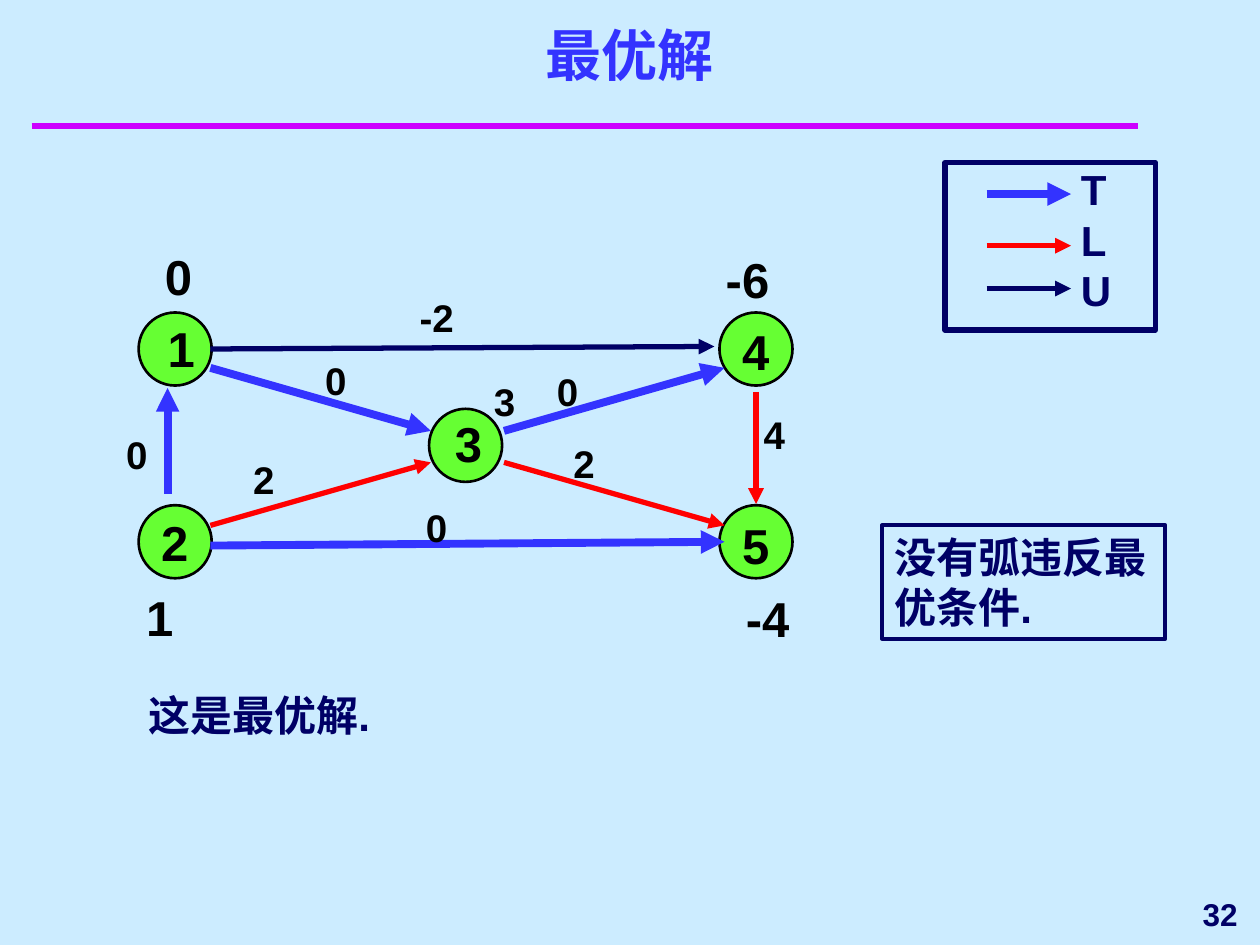
from dataclasses import dataclass

import pptx
import pptx.dml.color
import pptx.enum.shapes
import pptx.enum.text
import pptx.oxml.ns
import pptx.util
from lxml import etree
from pptx.util import Inches

ALIGN = pptx.enum.text.PP_ALIGN
ANCHOR = pptx.enum.text.MSO_ANCHOR
SHAPE = pptx.enum.shapes.MSO_SHAPE


@dataclass(frozen=True)
class Theme:
    """Colours, font and type sizes of the slide."""
    font: str = "Arial"
    background: str = "CCECFF"
    rule: str = "CC00FF"
    title: str = "3333FF"
    ink: str = "000066"
    label: str = "000000"
    node: str = "66FF33"
    title_size: float = 32
    node_size: float = 28
    body_size: float = 24
    cost_size: float = 22
    number_size: float = 18


THEME = Theme()
ARC_STYLES = {"T": ("3333FF", 4.5), "L": ("FF0000", 3), "U": ("000066", 3)}

NODES = [
    ("1", 0, 0, 0.33, 0.57),
    ("2", 0, 1, 0.28, 2.11),
    ("3", 0.5, 0.5, 2.61, 1.32),
    ("4", 1, 0, 4.89, 0.59),
    ("5", 1, 1, 4.89, 2.13),
]
POTENTIALS = [
    ("0", 0.31, 0, THEME.node_size),
    ("1", 0.16, 2.7, THEME.node_size),
    ("3", 2.92, 1.04, THEME.cost_size),
    ("-6", 4.76, 0.02, THEME.node_size),
    ("-4", 4.92, 2.71, THEME.node_size),
]
ARCS = [
    ("U", (0.67, 0.81), (4.67, 0.79), "-2", (2.33, 0.37)),
    ("T", (0.33, 1.96), (0.33, 1.12), "0", (0, 1.46)),
    ("T", (0.67, 2.37), (4.75, 2.34), "0", (2.38, 2.04)),
    ("L", (5, 1.15), (5, 2.04), "4", (5.06, 1.3)),
    ("L", (3, 1.71), (4.75, 2.21), "2", (3.55, 1.53)),
    ("T", (0.67, 0.96), (2.42, 1.46), "0", (1.58, 0.87)),
    ("L", (0.67, 2.21), (2.42, 1.71), "2", (1.01, 1.66)),
    ("T", (3, 1.46), (4.75, 0.96), "0", (3.42, 0.96)),
]


def rgb(value):
    """Turn a hex string into a colour."""
    return pptx.dml.color.RGBColor.from_string(value)


def write(frame, lines, size, color, align=ALIGN.LEFT, anchor=ANCHOR.TOP, wrap=True):
    """Fill a text frame with bold lines, one paragraph each."""
    frame.word_wrap = wrap
    frame.auto_size = pptx.enum.text.MSO_AUTO_SIZE.NONE
    frame.vertical_anchor = anchor
    for index, line in enumerate(lines):
        paragraph = frame.add_paragraph() if index else frame.paragraphs[0]
        paragraph.alignment = align
        run = paragraph.add_run()
        run.text = line
        run.font.name = THEME.font
        run.font.size = pptx.util.Pt(size)
        run.font.bold = True
        run.font.color.rgb = rgb(color)


def add_text(slide, box, lines, size, color, **layout):
    """Add a text box and return its frame."""
    frame = slide.shapes.add_textbox(*map(Inches, box)).text_frame
    write(frame, lines, size, color, **layout)
    return frame


def add_label(slide, left, top, text, size):
    """Add a graph label without margins."""
    box = (left, top, size / 128 * len(text), size / 60)
    frame = add_text(slide, box, [text], size, THEME.label, wrap=False)
    frame.margin_left = frame.margin_right = 0
    frame.margin_top = frame.margin_bottom = 0


def add_line(slide, start, end, color, width, arrow=True):
    """Add a straight line, with an arrowhead at its end if wanted."""
    line = slide.shapes.add_connector(
        pptx.enum.shapes.MSO_CONNECTOR.STRAIGHT, *map(Inches, (*start, *end)))
    line.line.color.rgb = rgb(color)
    line.line.width = pptx.util.Pt(width)
    if arrow:
        outline = line.line._get_or_add_ln()
        etree.SubElement(outline, pptx.oxml.ns.qn("a:tailEnd"), type="triangle")
    etree.SubElement(line._element.spPr, pptx.oxml.ns.qn("a:effectLst"))


def add_outline(slide, kind, box, color, width, fill=None):
    """Add an outlined shape, hollow unless a fill is given."""
    shape = slide.shapes.add_shape(kind, *map(Inches, box))
    shape.shadow.inherit = False
    shape.line.color.rgb = rgb(color)
    shape.line.width = pptx.util.Pt(width)
    if fill:
        shape.fill.solid()
        shape.fill.fore_color.rgb = rgb(fill)
    else:
        shape.fill.background()
    return shape


def add_heading(slide, box, text):
    """Place the title and the rule below it."""
    left, top, width, height = box
    title = slide.shapes.title
    title.left, title.top, title.width, title.height = map(Inches, box)
    write(title.text_frame, [text], THEME.title_size, THEME.title,
          align=ALIGN.CENTER, anchor=ANCHOR.BOTTOM)
    rule_top = top + height + 0.25
    add_line(slide, (left + 0.25, rule_top), (left + width - 0.97, rule_top),
             THEME.rule, 4, arrow=False)


def add_network(slide, box):
    """Draw the nodes, arcs, costs and potentials of the network."""
    left, top, width, height = box
    diameter = 0.58
    column_span, row_span = width - 0.68, height - 1.64
    for _, column, row, _, _ in NODES:
        circle = (left + 0.1 + column * column_span,
                  top + 0.52 + row * row_span, diameter, diameter)
        add_outline(slide, SHAPE.OVAL, circle, THEME.label, 1.5, THEME.node)
    for style, (x1, y1), (x2, y2), cost, (x, y) in ARCS:
        add_line(slide, (left + x1, top + y1), (left + x2, top + y2), *ARC_STYLES[style])
        add_label(slide, left + x, top + y, cost, THEME.cost_size)
    for number, _, _, x, y in NODES:
        add_label(slide, left + x, top + y, number, THEME.node_size)
    for potential, x, y, size in POTENTIALS:
        add_label(slide, left + x, top + y, potential, size)


def add_legend(slide, box):
    """Draw the key to the three arc sets."""
    left, top, width, height = box
    for style, y in zip(ARC_STYLES, (0.25, 0.66, 1)):
        add_line(slide, (left + 0.33, top + y), (left + 1, top + y), *ARC_STYLES[style])
    add_text(slide, (left + 0.98, top - 0.04, 0.44, height - 0.03),
             list(ARC_STYLES), THEME.body_size, THEME.ink, wrap=False)
    add_outline(slide, SHAPE.RECTANGLE, box, THEME.ink, 3)


def add_remark(slide, box, text):
    """Add a framed remark."""
    frame = add_outline(slide, SHAPE.RECTANGLE, box, THEME.ink, 2.25).text_frame
    write(frame, [text], THEME.body_size, THEME.ink)


def main():
    """Build and save the slide."""
    deck = pptx.Presentation()
    deck.slide_width, deck.slide_height = Inches(10), Inches(7.5)
    slide = deck.slides.add_slide(deck.slide_layouts[5])
    slide.background.fill.solid()
    slide.background.fill.fore_color.rgb = rgb(THEME.background)
    add_heading(slide, (0, 0.33, 10, 0.42), "最优解")
    add_network(slide, (1, 1.96, 5.29, 3.17))
    add_legend(slide, (7.5, 1.29, 1.67, 1.33))
    add_remark(slide, (7, 4.17, 2.25, 0.9), "没有弧违反最优条件.")
    add_text(slide, (1.08, 5.42, 4.92, 0.5), ["这是最优解."], THEME.body_size, THEME.ink)
    add_text(slide, (8, 7, 1.92, 0.5), ["32"], THEME.number_size, THEME.ink,
             align=ALIGN.RIGHT, anchor=ANCHOR.MIDDLE)
    deck.save("out.pptx")


if __name__ == "__main__":
    main()
